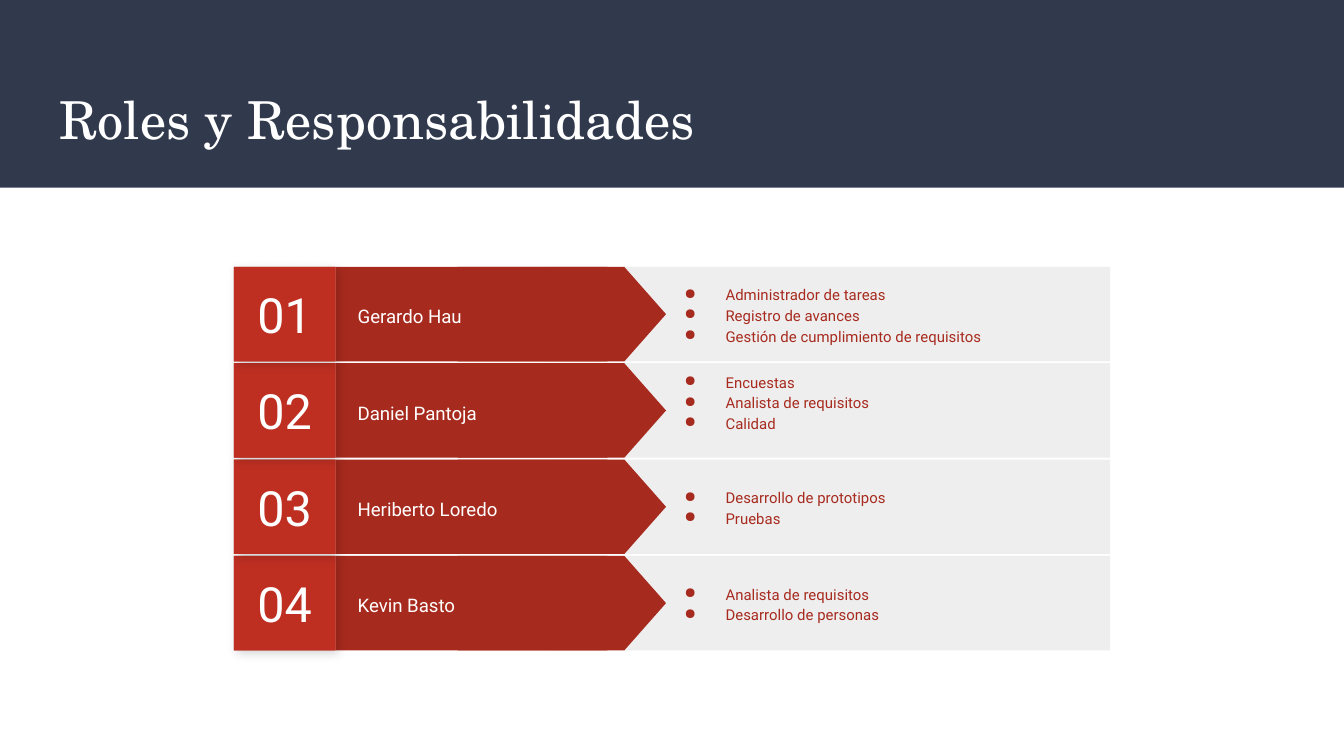
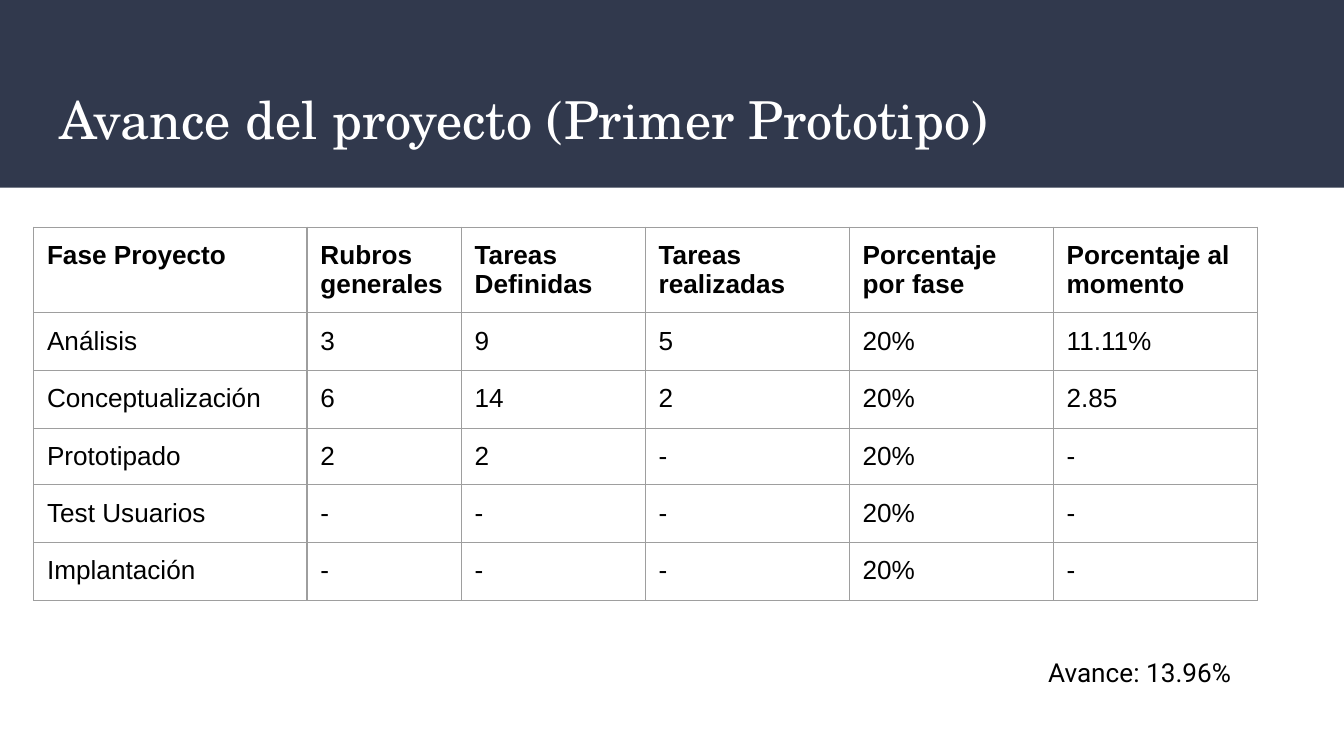
from lxml import etree
from pptx import Presentation
from pptx.dml.color import RGBColor
from pptx.enum import shapes, text
from pptx.oxml import parse_xml
from pptx.oxml.ns import nsdecls, qn
from pptx.util import Pt

NAVY, RED, DARK_RED, SHADED_RED = "31394D", "BE2F22", "A72A1E", "B02C20"
WHITE, BLACK, PALE, RULE = "FFFFFF", "000000", "EEEEEE", "9E9E9E"
INSET = 7.2
RECT = shapes.MSO_SHAPE.RECTANGLE


def add_block(parent, preset, left, top, width, height, fill):
    block = parent.shapes.add_shape(preset, Pt(left), Pt(top), Pt(width), Pt(height))
    block.shadow.inherit = False
    block.fill.solid()
    block.fill.fore_color.rgb = RGBColor.from_string(fill)
    block.line.fill.background()
    return block


def write(frame, content, size=14, font="Roboto", color=BLACK, bold=False, align="LEFT",
          anchor="TOP", spacing=None, bullet=None, top_inset=INSET):
    """Fill a text frame, one paragraph for each line of content."""
    frame.text = content
    frame.word_wrap = True
    frame.auto_size = text.MSO_AUTO_SIZE.NONE
    frame.vertical_anchor = text.MSO_ANCHOR[anchor]
    frame.margin_left = frame.margin_right = frame.margin_bottom = Pt(INSET)
    frame.margin_top = Pt(top_inset)
    for paragraph in frame.paragraphs:
        paragraph.alignment = text.PP_ALIGN[align]
        if spacing:
            paragraph.line_spacing = spacing
        for run in paragraph.runs:
            run.font.size = Pt(size)
            run.font.name = font
            run.font.bold = bold
            run.font.color.rgb = RGBColor.from_string(color)
        if bullet:
            props = paragraph._p.get_or_add_pPr()
            props.set("marL", str(Pt(36)))
            props.set("indent", str(Pt(-22)))
            bullet_color = etree.SubElement(props, qn("a:buClr"))
            etree.SubElement(bullet_color, qn("a:srgbClr"), val=color)
            etree.SubElement(props, qn("a:buChar"), char=bullet)


prs = Presentation()
prs.slide_width, prs.slide_height = Pt(720), Pt(405)
title_only = prs.slide_layouts[5]

# Titles, with the band kept on the shared layout
titles = ["Roles y Responsabilidades", "Avance del proyecto (Primer Prototipo)"]
roles, progress = [prs.slides.add_slide(title_only) for _ in titles]
band = add_block(roles, RECT, 0, 0, 720, 100.5, NAVY)
title_only.shapes._spTree.insert(2, band._element)

for slide, heading in zip((roles, progress), titles):
    title = slide.shapes.title
    title.left, title.top, title.width, title.height = Pt(24.5), Pt(39.6), Pt(671), Pt(49)
    write(title.text_frame, heading, size=28, font="TeX Gyre Schola", color=WHITE)

# Roles: one group for each team member, the last one at the back
members = [
    ("Gerardo Hau", ["Administrador de tareas", "Registro de avances",
                     "Gestión de cumplimiento de requisitos"], {}),
    ("Daniel Pantoja", ["Encuestas", "Analista de requisitos", "Calidad"],
     {"anchor": "TOP", "top_inset": 4}),
    ("Heriberto Loredo", ["Desarrollo de prototipos", "Pruebas"], {}),
    ("Kevin Basto", ["Analista de requisitos", "Desarrollo de personas"], {}),
]
ROW_TOP, ROW_PITCH, ROW_HEIGHT = 143, 51.6, 50.6
ARROW_LENGTH, ARROW_CENTER = 111.6, 301

for index, (name, duties, placing) in reversed(list(enumerate(members))):
    top = ROW_TOP + index * ROW_PITCH
    row = roles.shapes.add_group_shape()
    add_block(row, RECT, 294, top, 300.8, ROW_HEIGHT, PALE)
    add_block(row, RECT, 180, top, 145.4, ROW_HEIGHT, DARK_RED)
    arrow = add_block(row, shapes.MSO_SHAPE.FLOWCHART_OFFPAGE_CONNECTOR,
                      ARROW_CENTER - ROW_HEIGHT / 2, top + (ROW_HEIGHT - ARROW_LENGTH) / 2,
                      ROW_HEIGHT, ARROW_LENGTH, DARK_RED)
    arrow.rotation = 270

    label = row.shapes.add_textbox(Pt(184.5), Pt(top + 6.1), Pt(152.6), Pt(39))
    write(label.text_frame, name, size=10, color=WHITE, anchor="MIDDLE", spacing=1.15)

    backing = add_block(row, RECT, 125.3, top, 54.5, ROW_HEIGHT, SHADED_RED)
    backing._element.spPr.find(qn("a:effectLst")).append(parse_xml(
        f'<a:outerShdw {nsdecls("a")} blurRad="{Pt(5.6)}" dist="{Pt(2.2)}" dir="2700000">'
        f'<a:srgbClr val="{BLACK}"><a:alpha val="17000"/></a:srgbClr></a:outerShdw>'))
    number = add_block(row, RECT, 125.3, top, 54.5, ROW_HEIGHT, RED)
    write(number.text_frame, f"{index + 1:02}", size=26, color=WHITE,
          align="CENTER", anchor="MIDDLE")

    duty_list = row.shapes.add_textbox(Pt(345.6), Pt(top), Pt(234), Pt(ROW_HEIGHT))
    write(duty_list.text_frame, "\n".join(duties), size=8, color=DARK_RED, spacing=1.15,
          bullet="●", **{"anchor": "MIDDLE", **placing})

# Progress by project phase
phases = [
    ["Fase Proyecto", "Rubros generales", "Tareas Definidas", "Tareas realizadas",
     "Porcentaje por fase", "Porcentaje al momento"],
    ["Análisis", "3", "9", "5", "20%", "11.11%"],
    ["Conceptualización", "6", "14", "2", "20%", "2.85"],
    ["Prototipado", "2", "2", "-", "20%", "-"],
    ["Test Usuarios", "-", "-", "-", "20%", "-"],
    ["Implantación", "-", "-", "-", "20%", "-"],
]
column_widths = [146.5, 82.6, 98.6, 109.3, 109.3, 109.3]
row_heights = [44, 31, 31, 30.2, 31, 31]
grid = progress.shapes.add_table(len(phases), len(column_widths), Pt(18), Pt(121.7),
                                 Pt(sum(column_widths)), Pt(sum(row_heights))).table
grid.first_row = grid.horz_banding = False
for column, width in zip(grid.columns, column_widths):
    column.width = Pt(width)
for line, height in zip(grid.rows, row_heights):
    line.height = Pt(height)

for r, values in enumerate(phases):
    for c, value in enumerate(values):
        cell = grid.cell(r, c)
        write(cell.text_frame, value, font="Arial", bold=r == 0)
        cell.margin_left = cell.margin_right = cell.margin_top = cell.margin_bottom = Pt(INSET)
        cell_props = cell._tc.get_or_add_tcPr()
        for side in ("lnL", "lnR", "lnT", "lnB"):
            cell_props.append(parse_xml(
                f'<a:{side} {nsdecls("a")} w="{Pt(0.75)}"><a:solidFill>'
                f'<a:srgbClr val="{RULE}"/></a:solidFill></a:{side}>'))
        cell.fill.background()

total = progress.shapes.add_textbox(Pt(554.4), Pt(344.2), Pt(165.6), Pt(43))
write(total.text_frame, "Avance: 13.96%")

prs.save("out.pptx")
